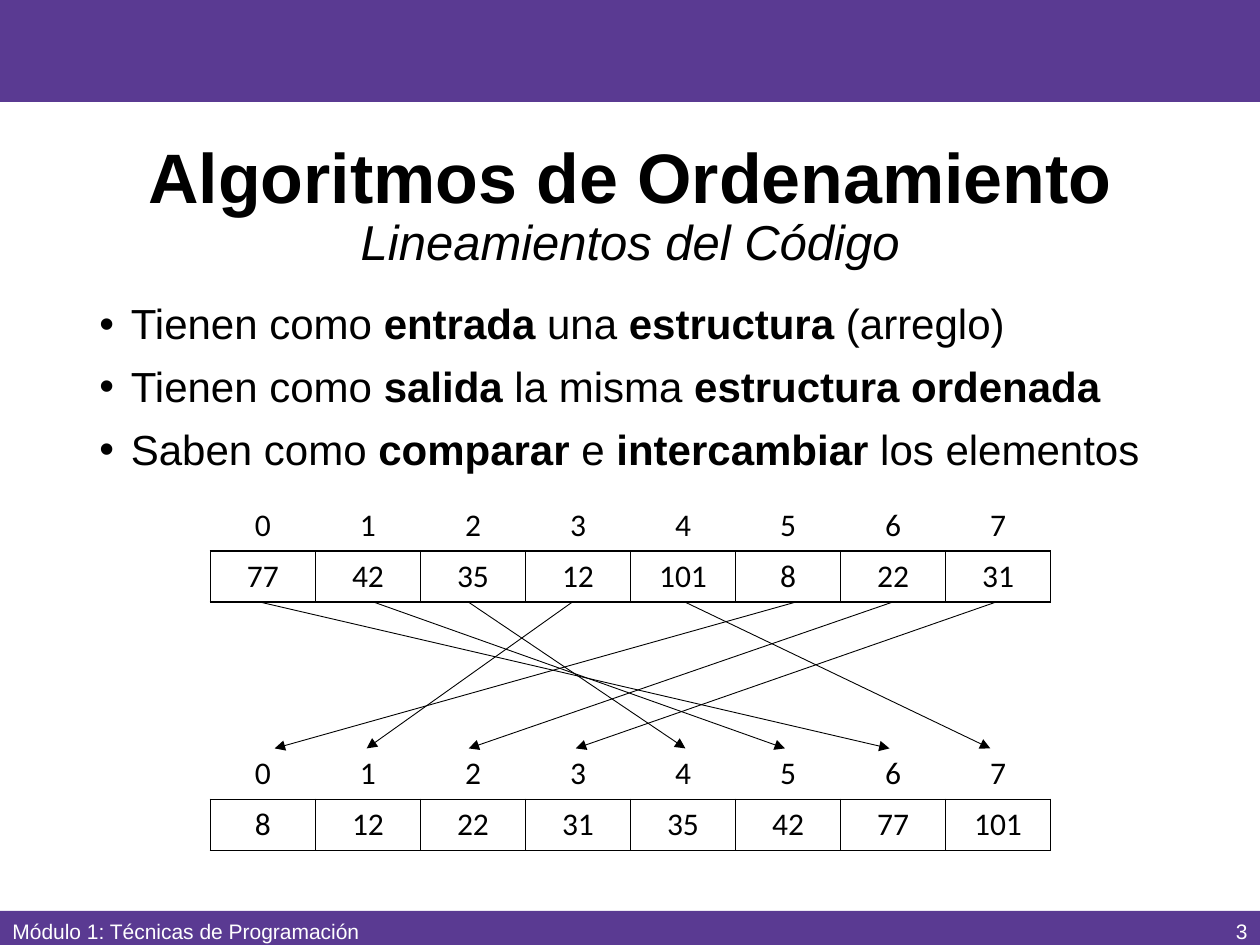
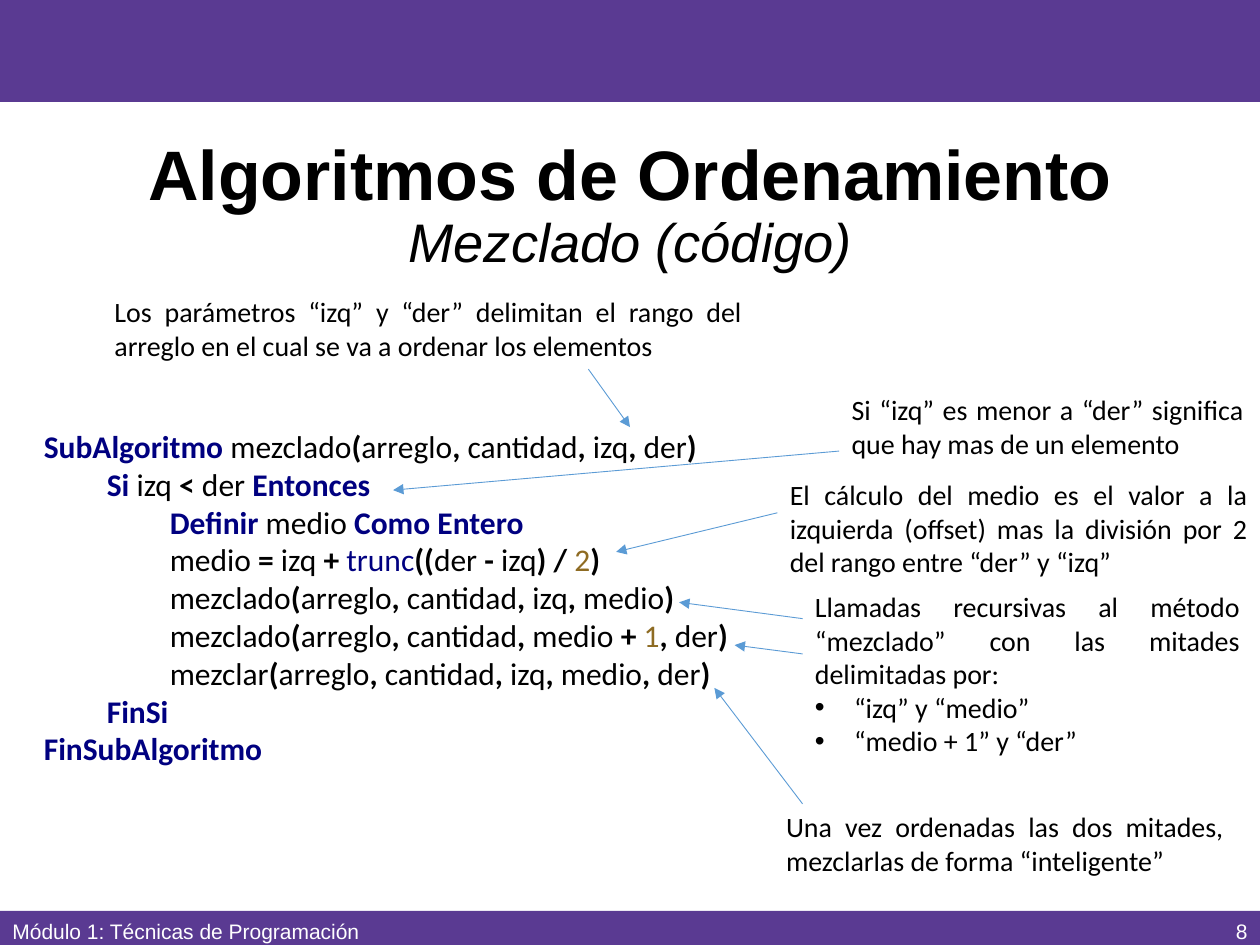
"""Builds two slides on sorting algorithms: the idea and the merge sort code."""
import itertools

import pptx
import pptx.dml.color
import pptx.enum.shapes
import pptx.enum.text
import pptx.oxml
import pptx.oxml.ns
import pptx.util

WIDTH, HEIGHT = 10, 7.5
PURPLE, BLACK, WHITE = "5A3A92", "000000", "FFFFFF"
BLUE, NAVY, OCHRE = "5B9BD5", "000080", "8E6B23"
HEADING = "Algoritmos de Ordenamiento"
FOOTER = "Módulo 1: Técnicas de Programación"
NO_STYLE = "{2D5ABB26-0587-4C30-8999-92F81FD0307C}"
ALIGN = pptx.enum.text.PP_ALIGN
MIDDLE = pptx.enum.text.MSO_ANCHOR.MIDDLE

GUIDELINES = [
    "Tienen como *entrada* una *estructura* (arreglo)",
    "Tienen como *salida* la misma *estructura ordenada*",
    "Saben como *comparar* e *intercambiar* los elementos",
]
UNSORTED = [77, 42, 35, 12, 101, 8, 22, 31]
SORTED = sorted(UNSORTED)
ARRAY_LEFT, ARRAY_WIDTH, ROW_HEIGHT = 1.67, 6.67, 0.405
UNSORTED_TOP, SORTED_TOP = 3.97, 5.94
ARROW_STARTS = [2.07, 2.97, 3.72, 4.54, 5.44, 6.31, 7.08, 7.9]
ARROW_ENDS = [2.18, 2.91, 3.72, 4.57, 5.44, 6.23, 7.06, 7.86]

CODE = [
    (0, "SubAlgoritmo mezclado(arreglo, cantidad, izq, der)"),
    (1, "Si izq < der Entonces"),
    (2, "Definir medio Como Entero"),
    (2, "medio = izq + trunc((der - izq) / 2)"),
    (2, "mezclado(arreglo, cantidad, izq, medio)"),
    (2, "mezclado(arreglo, cantidad, medio + 1, der)"),
    (2, "mezclar(arreglo, cantidad, izq, medio, der)"),
    (1, "FinSi"),
    (0, "FinSubAlgoritmo"),
]
KEYWORDS = {"SubAlgoritmo", "Si", "Entonces", "Definir", "Como", "Entero",
            "FinSi", "FinSubAlgoritmo"}
FUNCTIONS = {"trunc"}
NOTES = [
    ((0.81, 2.29, 5.18, 0.64),
     ["Los parámetros “izq” y “der” delimitan el rango del arreglo en el cual "
      "se va a ordenar los elementos"], []),
    ((6.66, 3.07, 3.31, 0.64),
     ["Si “izq” es menor a “der” significa que hay mas de un elemento"], []),
    ((6.17, 3.74, 3.83, 0.91),
     ["El cálculo del medio es el valor a la izquierda (offset) mas la "
      "división por 2 del rango entre “der” y “izq”"], []),
    ((6.37, 4.63, 3.57, 1.45),
     ["Llamadas recursivas al método “mezclado” con las mitades "
      "delimitadas por:"],
     ["“izq” y “medio”", "“medio + 1” y “der”"]),
    ((6.14, 6.38, 3.67, 0.64),
     ["Una vez ordenadas las dos mitades, mezclarlas de forma “inteligente”"],
     []),
]
NOTE_ARROWS = [
    ((4.67, 2.93), (5, 3.39)),
    ((6.66, 3.58), (3.12, 3.89)),
    ((6.17, 4.07), (4.89, 4.38)),
    ((6.37, 4.91), (5.39, 4.78)),
    ((6.37, 5.19), (5.83, 5.12)),
    ((6.37, 6.38), (5.67, 5.46)),
]


def inches(*lengths):
    return [pptx.util.Inches(length) for length in lengths]


def rgb(colour):
    return pptx.dml.color.RGBColor.from_string(colour)


def child(parent, tag, **attributes):
    element = pptx.oxml.parse_xml(f"<a:{tag} {pptx.oxml.ns.nsdecls('a')}/>")
    for name, value in attributes.items():
        element.set(name, str(value))
    parent.append(element)
    return element


def style(paragraph, size, font="Calibri", colour=BLACK, align=ALIGN.LEFT):
    paragraph.alignment = align
    paragraph.font.size = pptx.util.Pt(size)
    paragraph.font.name = font
    paragraph.font.color.rgb = rgb(colour)


def indent(paragraph, left, bullet=False):
    properties = paragraph._p.get_or_add_pPr()
    properties.set("marL", str(pptx.util.Inches(left)))
    properties.set("indent", str(pptx.util.Inches(-left if bullet else 0)))
    if bullet:
        child(properties, "buFont", typeface="Arial")
        child(properties, "buChar", char="•")


def add_run(paragraph, text, bold=None, colour=None):
    run = paragraph.add_run()
    run.text = text
    if bold is not None:
        run.font.bold = bold
    if colour:
        run.font.color.rgb = rgb(colour)
    return run


def text_frame(slide, box, anchor=pptx.enum.text.MSO_ANCHOR.TOP):
    frame = slide.shapes.add_textbox(*inches(*box)).text_frame
    frame.word_wrap = True
    frame.vertical_anchor = anchor
    return frame


def paragraphs(frame, items):
    for position, item in enumerate(items):
        yield (frame.add_paragraph() if position else frame.paragraphs[0]), item


def add_arrow(slide, start, end, colour):
    arrow = slide.shapes.add_connector(
        pptx.enum.shapes.MSO_CONNECTOR.STRAIGHT, *inches(*start, *end))
    arrow.line.color.rgb = rgb(colour)
    arrow.line.width = pptx.util.Pt(0.5)
    child(arrow.line._get_or_add_ln(), "tailEnd", type="triangle")
    child(arrow._element.spPr, "effectLst")


def add_frame(deck, subtitle, subtitle_size, number):
    slide = deck.slides.add_slide(deck.slide_layouts[6])
    for top, height in ((0, 0.81), (7.23, HEIGHT - 7.23)):
        band = slide.shapes.add_shape(
            pptx.enum.shapes.MSO_SHAPE.RECTANGLE, *inches(0, top, WIDTH, height))
        band.shadow.inherit = False
        band.fill.solid()
        band.fill.fore_color.rgb = rgb(PURPLE)
        band.line.fill.background()

    title = text_frame(slide, (0.69, 0.98, 8.62, 1.33), MIDDLE).paragraphs[0]
    title.line_spacing = 0.9
    style(title, 40, "Arial", align=ALIGN.CENTER)
    add_run(title, HEADING, bold=True)
    title.add_line_break()
    second = add_run(title, subtitle)
    second.font.size = pptx.util.Pt(subtitle_size)
    second.font.italic = True

    for left, width, text, align in ((0, 3.38, FOOTER, ALIGN.LEFT),
                                     (7.75, 2.25, str(number), ALIGN.RIGHT)):
        footer = text_frame(slide, (left, 7.19, width, 0.4), MIDDLE).paragraphs[0]
        style(footer, 12, "Arial", WHITE, align)
        add_run(footer, text)
    return slide


def add_border(cell, sides):
    properties = cell._tc.get_or_add_tcPr()
    for side in sides:
        border = child(properties, f"ln{side}", w=pptx.util.Pt(1))
        child(child(border, "solidFill"), "srgbClr", val=BLACK)


def add_array(slide, top, values):
    table = slide.shapes.add_table(
        2, len(values),
        *inches(ARRAY_LEFT, top, ARRAY_WIDTH, 2 * ROW_HEIGHT)).table
    table._tbl.tblPr.find(pptx.oxml.ns.qn("a:tableStyleId")).text = NO_STYLE
    table.first_row = table.horz_banding = False
    for column, pair in enumerate(enumerate(values)):
        for row, (content, sides) in enumerate(zip(pair, ("B", "LRTB"))):
            cell = table.cell(row, column)
            add_border(cell, sides)
            cell.fill.background()
            style(cell.text_frame.paragraphs[0], 18, align=ALIGN.CENTER)
            add_run(cell.text_frame.paragraphs[0], str(content))


def add_guidelines(slide):
    frame = text_frame(slide, (0.69, 2.36, 8.62, 1.5))
    for position, (paragraph, line) in enumerate(paragraphs(frame, GUIDELINES)):
        indent(paragraph, 0.25, bullet=True)
        paragraph.line_spacing = 0.9
        if position:
            paragraph.space_before = pptx.util.Pt(10)
        style(paragraph, 24, "Arial")
        for part, text in enumerate(line.split("*")):
            if text:
                add_run(paragraph, text, bold=part % 2 == 1)


def token_kind(character):
    if character.isalpha():
        return "word"
    if character.isdigit():
        return "number"
    return "space" if character == " " else "sign"


def token_style(kind, token):
    if token in KEYWORDS:
        return True, NAVY
    if token in FUNCTIONS:
        return False, NAVY
    return kind == "sign", OCHRE if kind == "number" else BLACK


def add_code(slide):
    frame = text_frame(slide, (0.25, 3.34, 5.74, 2.83))
    for paragraph, (level, line) in paragraphs(frame, CODE):
        indent(paragraph, level * 0.5)
        style(paragraph, 18)
        for kind, characters in itertools.groupby(line, token_kind):
            token = "".join(characters)
            add_run(paragraph, token, *token_style(kind, token))


def add_note(slide, box, sentences, bullets):
    frame = text_frame(slide, box)
    for paragraph, text in paragraphs(frame, sentences + bullets):
        if text in bullets:
            indent(paragraph, 0.31, bullet=True)
        style(paragraph, 16, align=ALIGN.JUSTIFY)
        add_run(paragraph, text)


def main():
    deck = pptx.Presentation()
    deck.slide_width, deck.slide_height = inches(WIDTH, HEIGHT)

    idea = add_frame(deck, "Lineamientos del Código", 28, 3)
    add_guidelines(idea)
    add_array(idea, UNSORTED_TOP, UNSORTED)
    add_array(idea, SORTED_TOP, SORTED)
    for start, value in zip(ARROW_STARTS, UNSORTED):
        end = ARROW_ENDS[SORTED.index(value)]
        add_arrow(idea, (start, UNSORTED_TOP + 2 * ROW_HEIGHT),
                  (end, SORTED_TOP), BLACK)

    merge = add_frame(deck, "Mezclado (código)", 31, 8)
    add_code(merge)
    for note in NOTES:
        add_note(merge, *note)
    for start, end in NOTE_ARROWS:
        add_arrow(merge, start, end, BLUE)

    deck.save("out.pptx")


if __name__ == "__main__":
    main()
